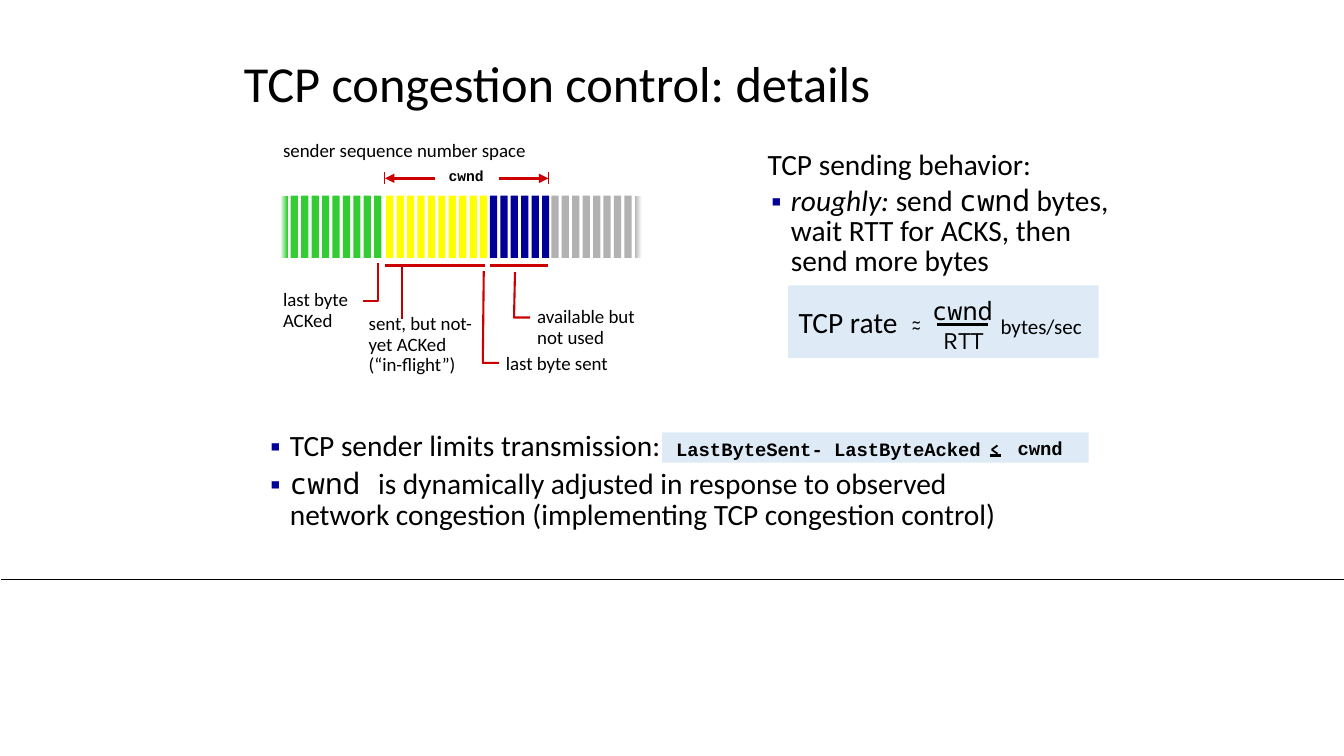
from dataclasses import dataclass, field
from typing import Optional

from lxml.etree import SubElement
from pptx import Presentation
from pptx.dml.color import RGBColor
from pptx.enum.shapes import MSO_CONNECTOR, MSO_SHAPE
from pptx.enum.text import MSO_ANCHOR, MSO_AUTO_SIZE, PP_ALIGN
from pptx.oxml.ns import qn
from pptx.util import Pt


@dataclass(frozen=True)
class Theme:
    sans: str = "Calibri"
    code: str = "Courier New"
    mono: str = "Noto Sans Mono"
    symbol: str = "Karla"
    black: str = "000000"
    white: str = "FFFFFF"
    panel: str = "DEEBF7"
    red: str = "CC0000"
    dark_red: str = "C00000"
    green: str = "33CC33"
    yellow: str = "FFFF00"
    navy: str = "000099"
    gray: str = "B2B2B2"
    title: float = 36
    body: float = 21
    fraction: float = 18
    unit: float = 15
    label: float = 13.5
    sign: float = 12
    small: float = 10.5


T = Theme()


@dataclass(frozen=True)
class Run:
    text: str
    font: str = T.sans
    italic: bool = False


@dataclass(frozen=True)
class Item:
    runs: tuple[Run, ...]
    bullet: bool = True


@dataclass(frozen=True)
class Label:
    lines: tuple[str, ...]
    box: tuple[float, float, float, float]
    fmt: dict = field(default_factory=dict)
    spacing: float = 0.9
    centered: bool = False
    wrap: bool = False


@dataclass(frozen=True)
class Line:
    start: tuple[float, float]
    end: tuple[float, float]
    width: float
    color: str = T.red
    arrow: bool = False


@dataclass(frozen=True)
class Band:
    left: float
    count: int
    color: str
    fade: Optional[str] = None


STRIPE_TOP, STRIPE_W, STRIPE_H, PITCH = 139.7, 5.2, 44.6, 7.45
BANDS = (
    Band(200.2, 10, T.green, "start"),
    Band(275.8, 10, T.yellow),
    Band(349.9, 6, T.navy),
    Band(393.8, 9, T.gray, "end"),
)
PANELS = ((473, 308.9, 304.6, 21.6), (563, 203.8, 221.8, 51.8))
ELBOWS = (
    ((270, 187.9), (270, 215.3), (259.2, 215.3)),
    ((345.6, 193.7), (344.9, 259.2), (356.4, 259.2)),
    ((367.9, 194.4), (367.2, 226.8), (378.7, 226.8)),
)
LINES = (
    Line((0.72, 414), (960, 414), 0.5, T.black),
    Line((707, 325.4), (715, 325.4), 1.5, T.black),
    Line((669.6, 231.8), (705.6, 231.8), 1.5, T.black),
    Line((356.4, 127.4), (391.7, 127.4), 2.25, arrow=True),
    Line((311, 127.4), (275, 127.4), 2.25, arrow=True),
    Line((391.7, 123.1), (391.7, 131.8), 0.75),
    Line((275, 123.1), (275, 131.8), 0.75),
    Line((349.9, 189.4), (391.7, 189.4), 2.25),
    Line((275, 189.4), (346.3, 189.4), 2.25),
    Line((287.3, 190.8), (287.3, 228.2), 1.5, T.dark_red),
)
CODE = {"font": T.code, "bold": True}
TILDE = {"font": T.symbol}
LABELS = (
    Label(("LastByteSent- LastByteAcked",), (475.9, 311.8, 259.9, 20.9), CODE, 0.85, wrap=True),
    Label(("<",), (698.4, 309.6, 24.5, 21.6),
          {"font": T.symbol, "size": T.sign, "bold": True}, 1, True),
    Label(("cwnd",), (719.3, 308.2, 47.5, 23.8), CODE, 1, True),
    Label(("last byte", "ACKed"), (195.1, 203.8, 61.9, 36.7)),
    Label(("last byte sent",), (354.2, 249.1, 95, 22.3), wrap=True),
    Label(("cwnd",), (313.2, 117.4, 39.6, 18.7), {**CODE, "size": T.small}, 0.9, True),
    Label(("sender sequence number space",), (195.1, 95.8, 193.7, 23.8), spacing=1),
    Label(("available but not used",), (376.6, 216, 95, 36.7), wrap=True),
    Label(("sent, but not-yet ACKed", "(“in-flight”)"), (256.3, 221, 97.9, 51.1), wrap=True),
    Label(("TCP rate",), (563, 213.8, 85.7, 32.4), {"size": T.body}, 1, True),
    Label(("~",), (627.1, 217.4, 54.7, 23.8), TILDE, 1, True),
    Label(("~",), (627.1, 221.8, 54.7, 23.8), TILDE, 1, True),
    Label(("cwnd",), (658.8, 207.4, 57.6, 28.8), {"font": T.mono, "size": T.fraction}, 1, True),
    Label(("RTT",), (664.6, 228.2, 46.8, 28.8), {"font": T.symbol, "size": T.fraction}, 1, True),
    Label(("bytes/sec",), (707, 220.3, 73.4, 25.2), {"size": T.unit}, 1, True),
)
BEHAVIOR = (
    Item((Run("TCP sending behavior:"),), bullet=False),
    Item((Run("roughly:", italic=True), Run(" send "), Run("cwnd", T.mono),
          Run(" bytes, wait RTT for ACKS, then send more bytes"))),
)
LIMITS = (
    Item((Run("TCP sender limits transmission:"),)),
    Item((Run("cwnd ", T.mono),
          Run("is dynamically adjusted in response to observed network congestion "
              "(implementing TCP congestion control)"))),
)


def rgb(color: str) -> RGBColor:
    return RGBColor.from_string(color)


def add_run(p, text: str, *, font: str = T.sans, size: float = T.label,
            color: str = T.black, bold: bool = False, italic: bool = False) -> None:
    r = p.add_run()
    r.text = text
    f = r.font
    f.name, f.size, f.bold, f.italic = font, Pt(size), bold, italic
    f.color.rgb = rgb(color)


def place(sp, box: tuple[float, float, float, float]) -> None:
    sp.left, sp.top, sp.width, sp.height = map(Pt, box)


def add_rect(s, box: tuple[float, float, float, float], color: str):
    sp = s.shapes.add_shape(MSO_SHAPE.RECTANGLE, *map(Pt, box))
    sp.shadow.inherit = False
    sp.line.fill.background()
    sp.fill.solid()
    sp.fill.fore_color.rgb = rgb(color)
    return sp


def add_band(s, band: Band) -> None:
    for i in range(band.count):
        sp = add_rect(s, (band.left + i * PITCH, STRIPE_TOP, STRIPE_W, STRIPE_H), band.color)
        if band.fade == "start" and i == 0:
            fade(sp, T.white, band.color)
        elif band.fade == "end" and i == band.count - 1:
            fade(sp, band.color, T.white)


def fade(sp, *colors: str) -> None:
    sp.fill.gradient()
    sp.fill.gradient_angle = 0
    for stop, color in zip(sp.fill.gradient_stops, colors):
        stop.color.rgb = rgb(color)


def add_line(s, line: Line) -> None:
    cx = s.shapes.add_connector(MSO_CONNECTOR.STRAIGHT, *map(Pt, line.start + line.end))
    cx.line.color.rgb = rgb(line.color)
    cx.line.width = Pt(line.width)
    if line.arrow:
        SubElement(cx.line._get_or_add_ln(), qn("a:tailEnd"), type="triangle")
    SubElement(cx._element.spPr, qn("a:effectLst"))


def add_elbow(s, points: tuple[tuple[float, float], ...]) -> None:
    start, *rest = [(Pt(x), Pt(y)) for x, y in points]
    builder = s.shapes.build_freeform(*start)
    builder.add_line_segments(rest, close=False)
    sp = builder.convert_to_shape()
    sp.shadow.inherit = False
    sp.fill.background()
    sp.line.color.rgb = rgb(T.red)
    sp.line.width = Pt(1.5)


def add_label(s, label: Label) -> None:
    tf = s.shapes.add_textbox(*map(Pt, label.box)).text_frame
    tf.word_wrap = label.wrap
    for i, text in enumerate(label.lines):
        p = tf.add_paragraph() if i else tf.paragraphs[0]
        p.alignment = PP_ALIGN.CENTER if label.centered else PP_ALIGN.LEFT
        p.line_spacing = label.spacing
        add_run(p, text, **label.fmt)


def fill_list(sp, box: tuple[float, float, float, float],
              items: tuple[Item, ...], spacing: float) -> None:
    place(sp, box)
    tf = sp.text_frame
    tf.auto_size, tf.word_wrap = MSO_AUTO_SIZE.NONE, True
    tf.margin_left = tf.margin_right = Pt(5.4)
    tf.margin_top = tf.margin_bottom = Pt(2.7)
    for i, item in enumerate(items):
        p = tf.add_paragraph() if i else tf.paragraphs[0]
        pPr = p._p.get_or_add_pPr()
        pPr.set("marL", str(Pt(16.6)))
        pPr.set("indent", str(-Pt(16.6)))
        if item.bullet:
            SubElement(SubElement(pPr, qn("a:buClr")), qn("a:srgbClr"), val=T.navy)
            SubElement(pPr, qn("a:buFont"), typeface=T.mono)
            SubElement(pPr, qn("a:buChar"), char="▪")
        else:
            SubElement(pPr, qn("a:buNone"))
        p.line_spacing = spacing
        p.space_before = Pt(4.2 if i else 0)
        for run in item.runs:
            add_run(p, run.text, font=run.font, italic=run.italic, size=T.body)


def main() -> None:
    prs = Presentation()
    prs.slide_width, prs.slide_height = Pt(960), Pt(540)
    s = prs.slides.add_slide(prs.slide_layouts[3])
    title, behavior, limits = s.placeholders
    place(title, (167, 35.3, 672.5, 52.6))
    title.text_frame.vertical_anchor = MSO_ANCHOR.MIDDLE
    p = title.text_frame.paragraphs[0]
    p.alignment, p.line_spacing = PP_ALIGN.LEFT, 0.9
    add_run(p, "TCP congestion control: details", size=T.title)
    fill_list(behavior, (542.9, 105.8, 271.4, 144.7), BEHAVIOR, 0.85)
    fill_list(limits, (185, 305.3, 568.8, 100), LIMITS, 0.9)
    for box in PANELS:
        add_rect(s, box, T.panel)
    for band in BANDS:
        add_band(s, band)
    for points in ELBOWS:
        add_elbow(s, points)
    for line in LINES:
        add_line(s, line)
    for label in LABELS:
        add_label(s, label)
    prs.save("out.pptx")


if __name__ == "__main__":
    main()
